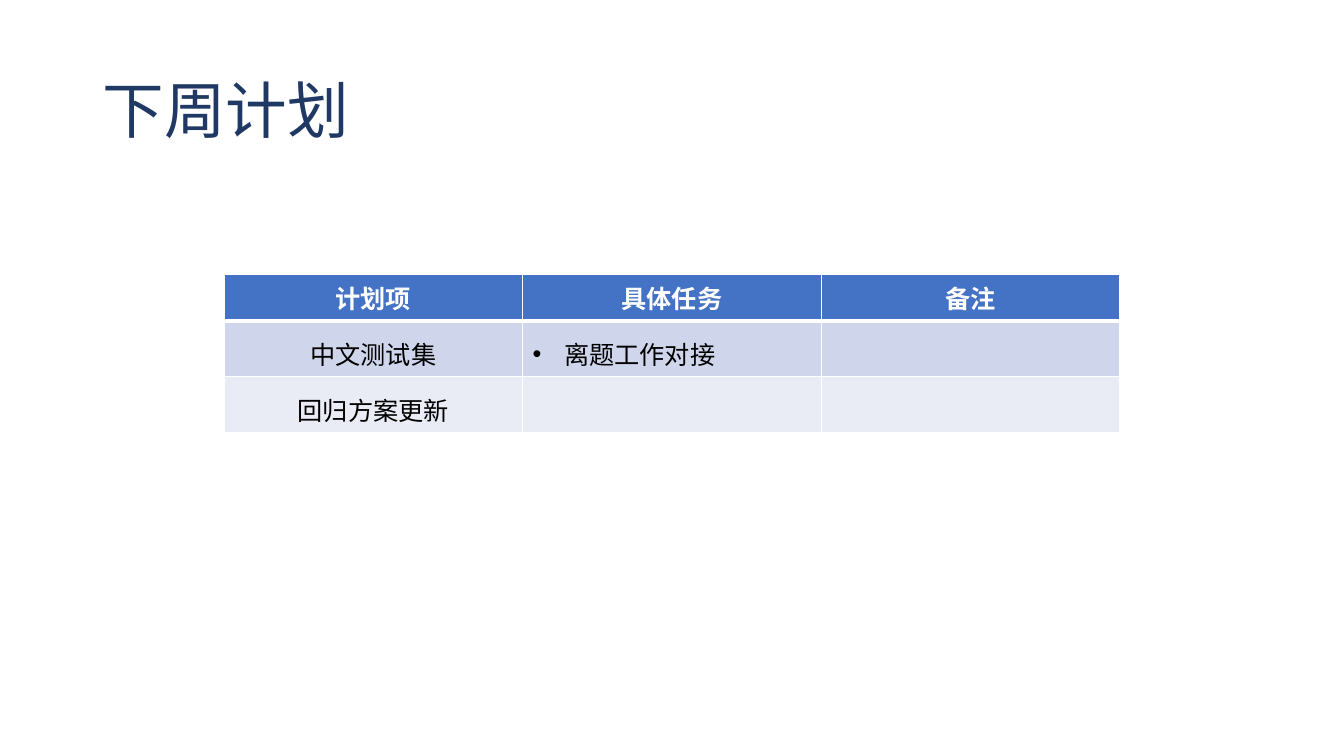
from lxml.etree import SubElement
from pptx import Presentation
from pptx.dml.color import RGBColor
from pptx.enum.text import MSO_ANCHOR, MSO_AUTO_SIZE, PP_ALIGN
from pptx.oxml import parse_xml
from pptx.oxml.ns import nsdecls, qn
from pptx.util import Pt

PLAN = [
    ["计划项", "具体任务", "备注"],
    ["中文测试集", "离题工作对接", ""],
    ["回归方案更新", "", ""],
]
ROW_FILLS = ["4472C4", "CFD5EA", "E9EBF5"]
TASK_COLUMN = 1


def colour(value):
    return RGBColor.from_string(value)


class PlanSlide:
    title_font = "Times New Roman"
    body_font = "Arial"
    title_colour = "203864"
    header_colour = "FFFFFF"
    body_colour = "000000"
    border_colour = "FFFFFF"
    bullet_indent = 22.5

    def __init__(self, deck):
        self.page = deck.slides.add_slide(deck.slide_layouts[5])

    def add_span(self, para, text, size, font, value, bold=False):
        span = para.add_run()
        span.text = text
        span.font.size = Pt(size)
        span.font.name = font
        span.font.bold = bold
        span.font.color.rgb = colour(value)

    def add_title(self, text, left, top, width, height):
        box = self.page.shapes.title
        box.left, box.top = Pt(left), Pt(top)
        box.width, box.height = Pt(width), Pt(height)
        frame = box.text_frame
        frame.auto_size = MSO_AUTO_SIZE.NONE
        frame.vertical_anchor = MSO_ANCHOR.MIDDLE
        para = frame.paragraphs[0]
        para.alignment = PP_ALIGN.LEFT
        para.line_spacing = 0.9
        self.add_span(para, text, 44, self.title_font, self.title_colour)

    def add_bullet(self, para):
        properties = para._p.get_or_add_pPr()
        indent = Pt(self.bullet_indent)
        properties.set("marL", str(indent))
        properties.set("indent", str(-indent))
        SubElement(properties, qn("a:buFont")).set("typeface", self.body_font)
        SubElement(properties, qn("a:buChar")).set("char", "•")

    def set_borders(self, cell, top, bottom):
        properties = cell._tc.get_or_add_tcPr()
        sides = {"lnL": 1, "lnR": 1, "lnT": top, "lnB": bottom}
        for position, (side, width) in enumerate(sides.items()):
            line = parse_xml(
                f'<a:{side} {nsdecls("a")} w="{Pt(width)}"><a:solidFill>'
                f'<a:srgbClr val="{self.border_colour}"/></a:solidFill></a:{side}>'
            )
            properties.insert(position, line)

    def fill_cell(self, cell, text, row, column):
        header = row == 0
        cell.fill.solid()
        cell.fill.fore_color.rgb = colour(ROW_FILLS[row])
        cell.vertical_anchor = MSO_ANCHOR.MIDDLE
        self.set_borders(cell, 3 if row == 1 else 1, 3 if header else 1)
        para = cell.text_frame.paragraphs[0]
        if not text:
            para.font.size = Pt(18)
            return
        if not header:
            para.line_spacing = 1.25
        if column == TASK_COLUMN and not header:
            para.alignment = PP_ALIGN.LEFT
            self.add_bullet(para)
        else:
            para.alignment = PP_ALIGN.CENTER
        value = self.header_colour if header else self.body_colour
        self.add_span(para, text, 18, self.body_font, value, header)

    def add_plan_table(self, rows, left, top, width, row_height):
        table = self.page.shapes.add_table(
            len(rows), len(rows[0]), Pt(left), Pt(top),
            Pt(width), Pt(row_height * len(rows)),
        ).table
        for table_row in table.rows:
            table_row.height = Pt(row_height)
        for row, texts in enumerate(rows):
            for column, text in enumerate(texts):
                self.fill_cell(table.cell(row, column), text, row, column)


def main():
    deck = Presentation()
    deck.slide_width, deck.slide_height = Pt(960), Pt(540)
    slide = PlanSlide(deck)
    slide.add_title("下周计划", 66, 28.75, 828, 104.4)
    slide.add_plan_table(PLAN, 160, 196, 640, 29.2)
    deck.save("out.pptx")


if __name__ == "__main__":
    main()
